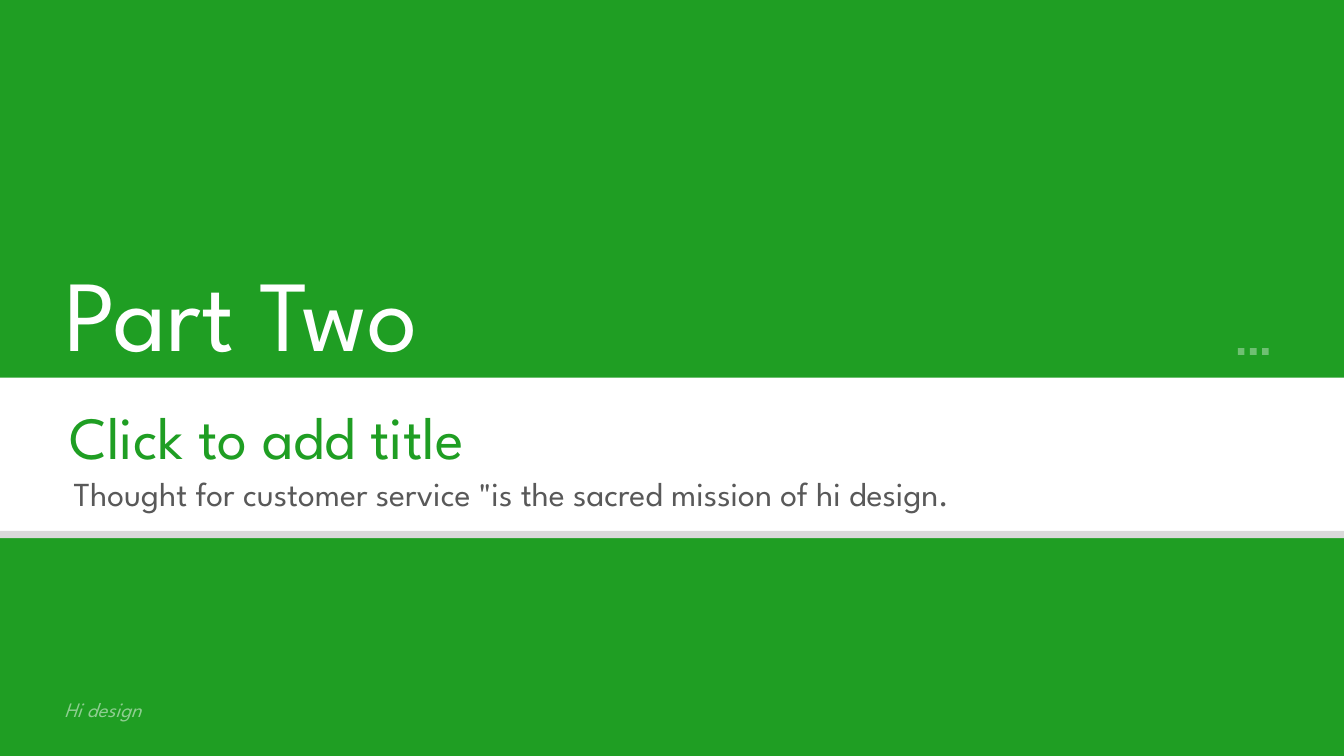
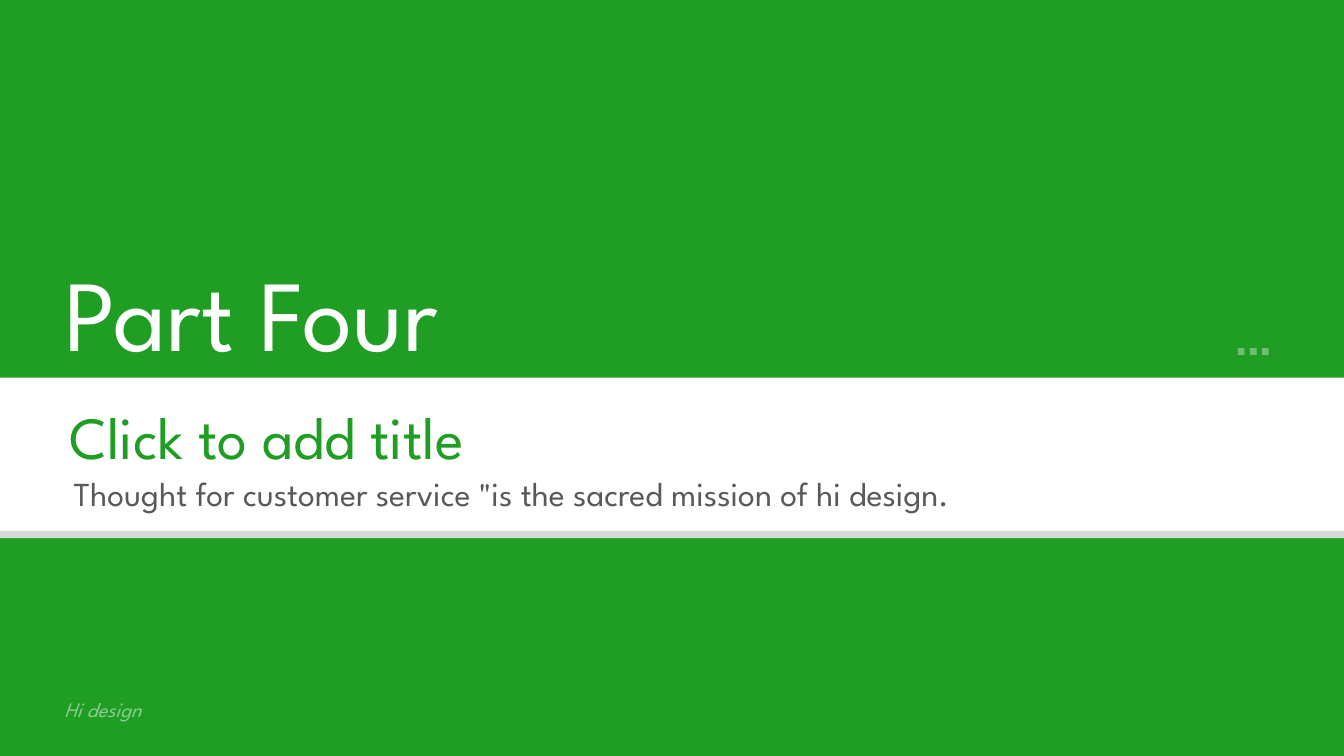
from dataclasses import dataclass
from typing import Any

from lxml.etree import SubElement
from pptx import Presentation
from pptx.dml.color import RGBColor
from pptx.enum.shapes import MSO_SHAPE as Preset
from pptx.enum.text import MSO_ANCHOR as Anchor, MSO_AUTO_SIZE as AutoSize, PP_ALIGN as Align
from pptx.oxml.ns import qn
from pptx.util import Emu, Pt

# Shared look: 200 px to the inch
PX = 4572
WIDTH, HEIGHT = 2000, 1125
FONT = "League Spartan"
COLORS = {
    "green": "1F9E23",
    "white": "FFFFFF",
    "gray": "595959",
    "rule": "D9D9D9",
}
TITLE_ONLY = 5


@dataclass(frozen=True)
class Box:
    left: int
    top: int
    width: int
    height: int

    def emu(self) -> tuple[Emu, ...]:
        return tuple(Emu(n * PX) for n in (self.left, self.top, self.width, self.height))


@dataclass(frozen=True)
class Section:
    title: str
    title_width: int
    heading: str = "Click to add title"
    tagline: str = 'Thought for customer service "is the sacred mission of hi design.'


SECTIONS = [Section("Part Two", 662), Section("Part Four", 682)]

BACKDROP = Box(0, 0, WIDTH, HEIGHT)
BAND = Box(0, 562, WIDTH, 228)
RULE = Box(0, BAND.top + BAND.height, WIDTH, 11)
DOTS = [Box(1842 + 18 * i, 518, 10, 10) for i in range(3)]
HEADING = Box(84, 585, 756, 128)
TAGLINE = Box(90, 694, 1576, 80)
FOOTER = Box(76, 1028, 176, 58)


def set_opacity(shape: Any, percent: int) -> None:
    """Make every colour set on the shape or its text partly transparent."""
    for color in shape.element.iter(qn("a:srgbClr")):
        SubElement(color, qn("a:alpha")).set("val", str(percent * 1000))


def add_rectangle(shapes: Any, box: Box, color: str, opacity: int = 100) -> None:
    shape = shapes.add_shape(Preset.RECTANGLE, *box.emu())
    shape.shadow.inherit = False
    shape.fill.solid()
    shape.fill.fore_color.rgb = RGBColor.from_string(COLORS[color])
    shape.line.fill.background()
    if opacity < 100:
        set_opacity(shape, opacity)


def write_text(shape: Any, text: str, *, size: int, color: str,
               italic: bool = False, opacity: int = 100) -> None:
    frame = shape.text_frame
    frame.word_wrap = False
    frame.auto_size = AutoSize.SHAPE_TO_FIT_TEXT
    frame.vertical_anchor = Anchor.TOP
    paragraph = frame.paragraphs[0]
    paragraph.alignment = Align.LEFT
    run = paragraph.add_run()
    run.text = text
    run.font.name = FONT
    run.font.size = Pt(size)
    run.font.italic = italic
    run.font.color.rgb = RGBColor.from_string(COLORS[color])
    if opacity < 100:
        set_opacity(shape, opacity)


def add_title(slide: Any, section: Section) -> None:
    title = slide.shapes.title
    box = Box(76, 363, section.title_width, 202)
    title.left, title.top, title.width, title.height = box.emu()
    write_text(title, section.title, size=54, color="white")
    # Bring the title in front of the backdrop
    slide.shapes.element.append(title.element)


def add_section_slide(presentation: Any, section: Section) -> None:
    slide = presentation.slides.add_slide(presentation.slide_layouts[TITLE_ONLY])
    shapes = slide.shapes

    # Backdrop, white band and title
    add_rectangle(shapes, BACKDROP, "green")
    add_rectangle(shapes, BAND, "white")
    add_title(slide, section)

    # Heading and tagline on the band
    captions = shapes.add_group_shape().shapes
    write_text(captions.add_textbox(*HEADING.emu()), section.heading, size=32, color="green")
    write_text(captions.add_textbox(*TAGLINE.emu()), section.tagline, size=18, color="gray")

    # Three dots above the band
    dots = shapes.add_group_shape().shapes
    for dot in DOTS:
        add_rectangle(dots, dot, "white", opacity=36)

    # Rule under the band and footer
    add_rectangle(shapes, RULE, "rule")
    write_text(shapes.add_textbox(*FOOTER.emu()), "Hi design",
               size=11, color="white", italic=True, opacity=49)


def main() -> None:
    presentation = Presentation()
    presentation.slide_width = Emu(WIDTH * PX)
    presentation.slide_height = Emu(HEIGHT * PX)
    for section in SECTIONS:
        add_section_slide(presentation, section)
    presentation.save("out.pptx")


if __name__ == "__main__":
    main()
